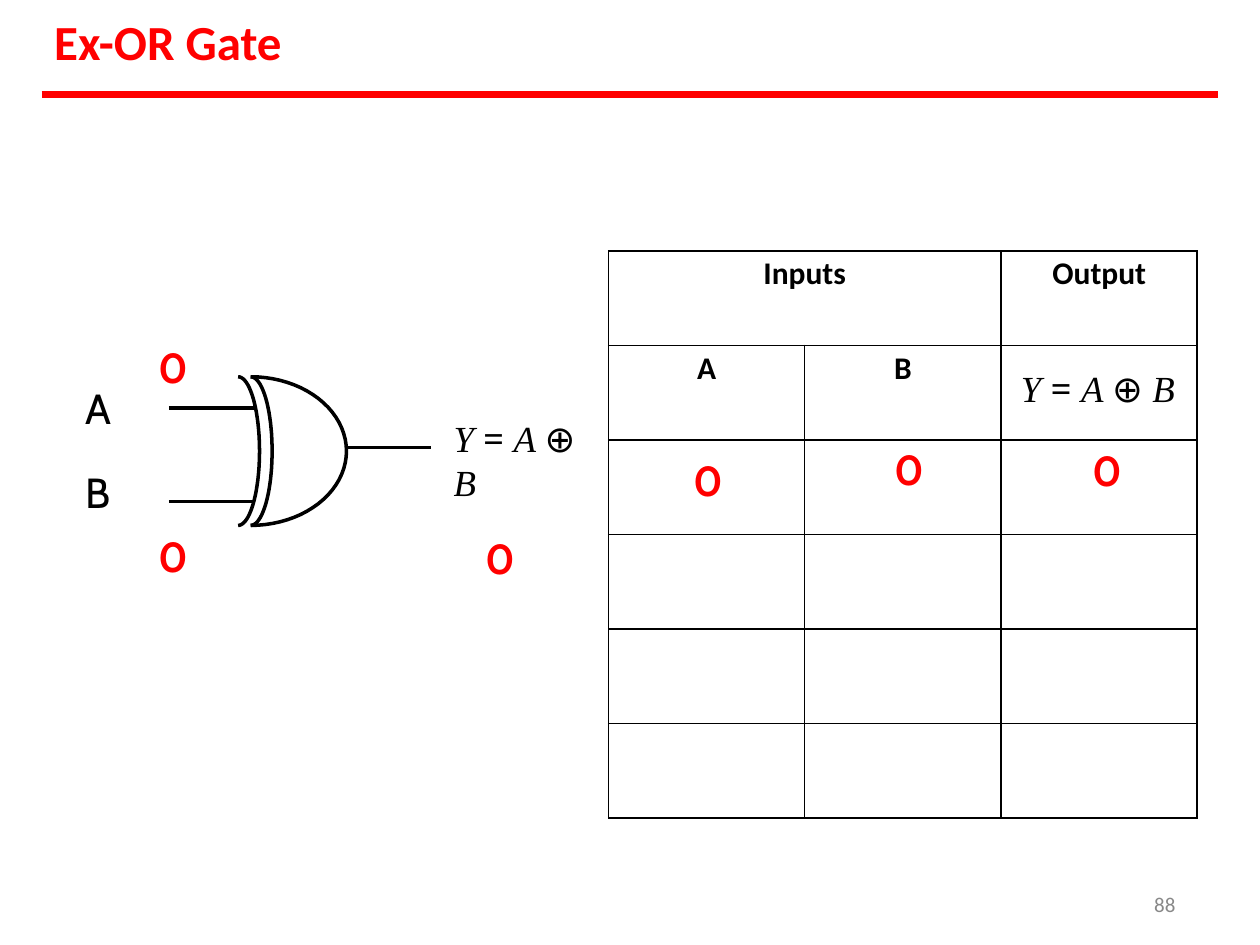
from dataclasses import dataclass, replace
from math import cos, pi, sin

from lxml.etree import SubElement
from pptx import Presentation
from pptx.dml.color import RGBColor
from pptx.enum.shapes import MSO_CONNECTOR
from pptx.enum.text import MSO_ANCHOR, PP_ALIGN
from pptx.oxml.ns import qn
from pptx.util import Inches, Pt


@dataclass(frozen=True)
class Type:
    font: str
    size: float
    color: RGBColor
    bold: bool = False
    italic: bool = False


class Theme:
    red = RGBColor(0xFF, 0, 0)
    black = RGBColor(0, 0, 0)
    gray = RGBColor(0x88, 0x88, 0x88)
    title = Type("Calibri", 28, red, bold=True)
    head = Type("Calibri", 18, black, bold=True)
    number = Type("Calibri", 12, gray)
    label = Type("Cabin", 24, black)
    bit = replace(label, color=red, bold=True)
    variable = Type("Times New Roman", 21, black, italic=True)
    operator = Type("Noto Sans", 21, black)


@dataclass
class Para:
    runs: list
    indent: float = 0
    align: PP_ALIGN = PP_ALIGN.LEFT
    before: float = 0
    spacing: float = 1.0


class SlideBuilder:
    def __init__(self, slide, theme):
        self.s = slide
        self.theme = theme

    def add_paras(self, tf, paras):
        for i, para in enumerate(paras):
            p = tf.paragraphs[0] if i == 0 else tf.add_paragraph()
            p._p.get_or_add_pPr().set("marL", str(Inches(para.indent)))
            p.alignment = para.align
            p.space_before = Pt(para.before)
            p.line_spacing = para.spacing
            for text, style in para.runs:
                r = p.add_run()
                r.text = text
                r.font.name = style.font
                r.font.size = Pt(style.size)
                r.font.bold = style.bold
                r.font.italic = style.italic
                r.font.color.rgb = style.color

    def fill_frame(self, sp, box, paras, top):
        sp.left, sp.top, sp.width, sp.height = map(Inches, box)
        tf = sp.text_frame
        tf.word_wrap = True
        tf.vertical_anchor = MSO_ANCHOR.TOP
        tf.margin_left = tf.margin_right = tf.margin_bottom = 0
        tf.margin_top = Inches(top)
        self.add_paras(tf, paras)

    def title(self, text, box):
        para = Para([(text, self.theme.title)], 0.01)
        self.fill_frame(self.s.shapes.title, box, [para], 0.01)

    def text(self, box, paras, top=0.01):
        sp = self.s.shapes.add_textbox(*map(Inches, box))
        self.fill_frame(sp, box, paras, top)

    def line(self, x1, x2, y, color, width):
        sp = self.s.shapes.add_connector(
            MSO_CONNECTOR.STRAIGHT, Inches(x1), Inches(y), Inches(x2), Inches(y))
        sp.line.color.rgb = color
        sp.line.width = Pt(width)
        SubElement(sp._element.spPr, qn("a:effectLst"))

    def half_ellipse(self, x, y, rx, ry, steps=40):
        """Draw the open right half of an ellipse centred on x, y."""
        angles = [pi * i / steps for i in range(steps + 1)]
        points = [(Inches(x + rx * sin(a)), Inches(y - ry * cos(a))) for a in angles]
        builder = self.s.shapes.build_freeform(*points[0])
        builder.add_line_segments(points[1:], close=False)
        sp = builder.convert_to_shape()
        sp.fill.background()
        sp.line.color.rgb = self.theme.black
        sp.line.width = Pt(2)
        sp.shadow.inherit = False

    def border(self, cell):
        tcPr = cell._tc.get_or_add_tcPr()
        for side in ("lnL", "lnR", "lnT", "lnB"):
            ln = SubElement(tcPr, qn(f"a:{side}"), w=str(Pt(1)))
            fill = SubElement(ln, qn("a:solidFill"))
            SubElement(fill, qn("a:srgbClr"), val=str(self.theme.black))

    def table(self, box, rows, cols, content):
        """Content maps (row, column) to a paragraph and its top margin."""
        table = self.s.shapes.add_table(rows, cols, *map(Inches, box)).table
        table.first_row = table.horz_banding = False
        table.cell(0, 0).merge(table.cell(0, 1))
        for row in range(rows):
            for col in range(cols):
                cell = table.cell(row, col)
                self.border(cell)
                cell.fill.background()
                cell.margin_left = cell.margin_right = cell.margin_bottom = 0
                if (row, col) in content:
                    para, top = content[row, col]
                    cell.margin_top = Inches(top)
                    self.add_paras(cell.text_frame, [para])


def main():
    prs = Presentation()
    prs.slide_width, prs.slide_height = Inches(10), Inches(7.5)
    theme = Theme()
    slide = SlideBuilder(prs.slides.add_slide(prs.slide_layouts[5]), theme)
    center = PP_ALIGN.CENTER
    zero = [("0", theme.bit)]
    equation = [("Y ", theme.variable), ("= ", theme.operator),
                ("A ", theme.variable), ("⊕ ", theme.operator),
                ("B", theme.variable)]

    slide.title("Ex-OR Gate", (0.42, 0.08, 1.86, 0.5))
    slide.line(0.33, 9.67, 0.75, theme.red, 4)

    slide.text((0.67, 3.03, 0.23, 1.1), [
        Para([("A", theme.label)], 0.01),
        Para([("B", theme.label)], 0.01, before=19.2)])
    for y in (2.7, 4.2):
        slide.text((1.25, y, 0.24, 0.43), [Para(zero, 0.01)])

    for x, rx in ((1.89, 0.17), (1.99, 0.17), (1.99, 0.76)):
        slide.half_ellipse(x, 3.58, rx, 0.59)
    for x, y in ((1.34, 3.24), (1.34, 3.98), (2.74, 3.55)):
        slide.line(x, x + 0.68, y, theme.black, 2)

    slide.table((4.83, 1.99, 4.67, 4.5), 6, 3, {
        (0, 0): (Para([("Inputs", theme.head)], align=center), 0.03),
        (0, 2): (Para([("Output", theme.head)], 0.41), 0.03),
        (1, 0): (Para([("A", theme.head)], align=center), 0.03),
        (1, 1): (Para([("B", theme.head)], 0.71), 0.03),
        (1, 2): (Para(equation, 0.16), 0.14),
        (2, 0): (Para(zero, 0.03, center), 0.13),
        (2, 1): (Para(zero, 0.71), 0.04),
        (2, 2): (Para(zero, 0.14, center), 0.05)})

    slide.text((9.13, 7.07, 0.31, 0.19),
               [Para([("88", theme.number)], 0.03, spacing=1.03)], top=0)
    slide.text((3.59, 3.09, 1.06, 1.21),
               [Para(equation, 0.01), Para(zero, 0.26, before=16.5)], top=0.21)
    prs.save("out.pptx")


if __name__ == "__main__":
    main()
